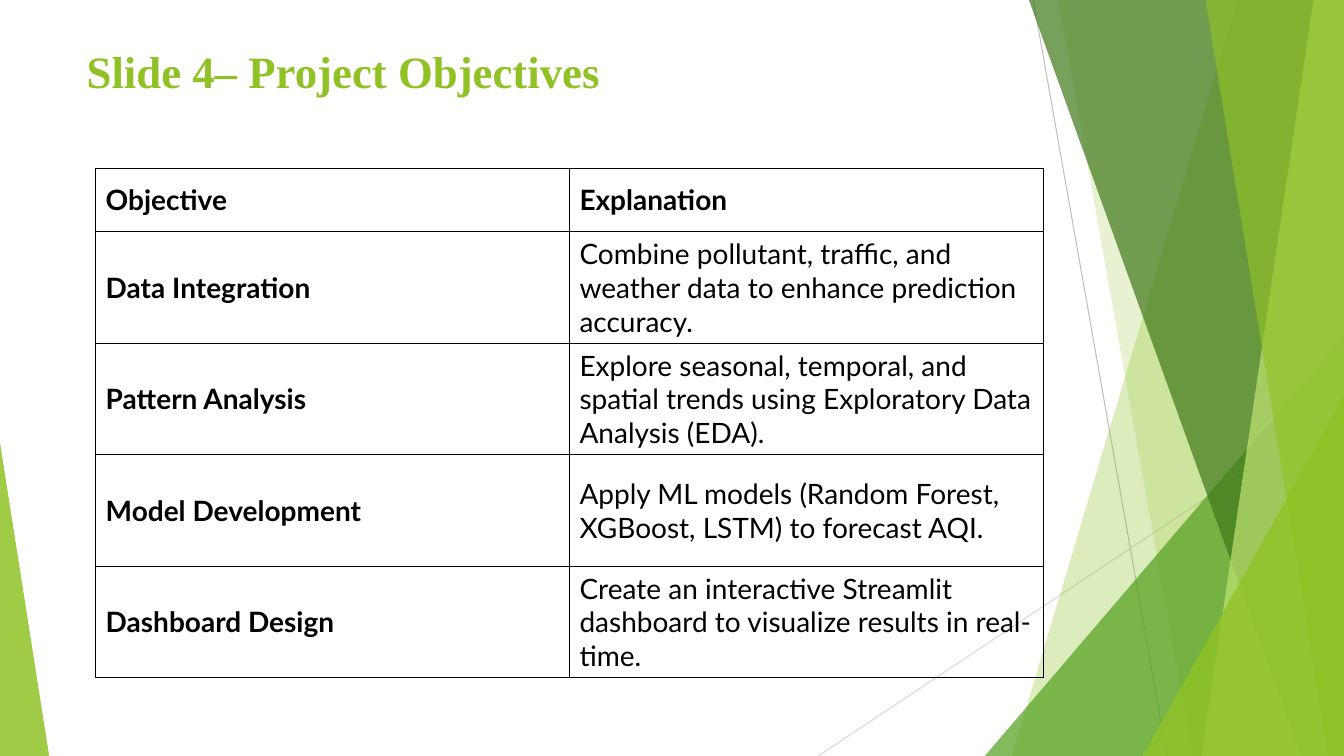
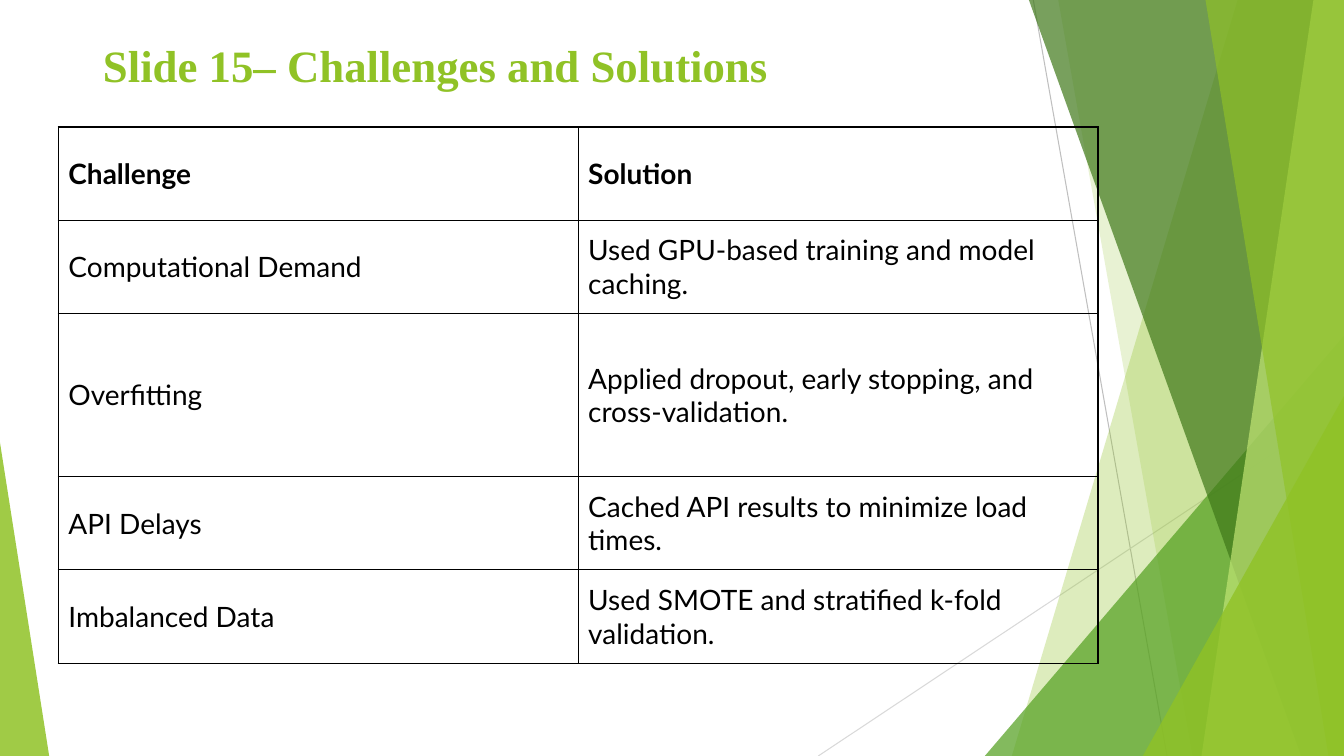
from dataclasses import dataclass

from lxml.etree import SubElement
from pptx import Presentation
from pptx.dml.color import RGBColor as Rgb
from pptx.enum.shapes import MSO_CONNECTOR as Connector, MSO_SHAPE as Preset
from pptx.enum.text import MSO_ANCHOR as Anchor, MSO_AUTO_SIZE as AutoSize, PP_ALIGN as Align
from pptx.oxml.ns import qn
from pptx.util import Cm, Pt

WIDTH, HEIGHT = 33.87, 19.05
TITLE_ONLY = 5


@dataclass(frozen=True)
class Theme:
    lime: str = "90C226"
    pale: str = "C0E474"
    green: str = "54A021"
    forest: str = "3F7819"
    ink: str = "000000"
    grey: str = "BFBFBF"
    light_grey: str = "D9D9D9"
    title_font: str = "Times New Roman"
    body_font: str = "Lato"
    title_size: int = 32
    body_size: int = 20
    hairline: float = 0.75
    border: float = 1


THEME = Theme()

# Backdrop, from back to front
RAYS = [  # x1, y1, x2, y2, colour
    (26.04, 0, 29.41, HEIGHT, THEME.grey),
    (WIDTH, 10.24, 20.62, HEIGHT, THEME.light_grey),
]
PANELS = [  # kind, geometry, colour, opacity in percent
    ("band", (31.19, 25.5), THEME.lime, 30),
    ("band", (26.67, 30.05), THEME.lime, 20),
    ("wedge", (24.82, 8.46, WIDTH, 1), THEME.green, 72),
    ("band", (25.93, 32.79), THEME.forest, 70),
    ("band", (33.1, 30.28), THEME.pale, 70),
    ("band", (30.38, 33.48), THEME.lime, 65),
    ("wedge", (28.8, 9.98, WIDTH, 1), THEME.lime, 80),
    ("wedge", (0, 11.15, 1.24, 0), THEME.lime, 85),
]

# Slide content
SLIDES = [
    {
        "title": ("Slide 4– Project Objectives", (1.93, 0.84, 22.17, 1.93)),
        "corner": (2.41, 4.24),
        "column": 11.94,
        "heights": [1.6, 2.81, 2.81, 2.81, 2.81],
        "bold_labels": True,
        "rows": [
            ("Objective", "Explanation"),
            ("Data Integration",
             "Combine pollutant, traffic, and weather data to enhance prediction accuracy."),
            ("Pattern Analysis",
             "Explore seasonal, temporal, and spatial trends using "
             "Exploratory Data Analysis (EDA)."),
            ("Model Development",
             "Apply ML models (Random Forest, XGBoost, LSTM) to forecast AQI."),
            ("Dashboard Design",
             "Create an interactive Streamlit dashboard to visualize results in real-time."),
        ],
    },
    {
        "title": ("Slide 15– Challenges and Solutions", (2.34, 0.69, 23.83, 2.21)),
        "corner": (1.47, 3.2),
        "column": 13.1,
        "heights": [2.35, 2.35, 4.11, 2.35, 2.35],
        "bold_labels": False,
        "rows": [
            ("Challenge", "Solution"),
            ("Computational Demand", "Used GPU-based training and model caching."),
            ("Overfitting", "Applied dropout, early stopping, and cross-validation."),
            ("API Delays", "Cached API results to minimize load times."),
            ("Imbalanced Data", "Used SMOTE and stratified k-fold validation."),
        ],
    },
]


def assign(target, values):
    for name, value in values.items():
        setattr(target, name, value)


class Builder:
    def __init__(self, theme):
        self.theme = theme
        self.deck = Presentation()
        assign(self.deck, {"slide_width": Cm(WIDTH), "slide_height": Cm(HEIGHT)})
        self.layout = self.deck.slide_layouts[TITLE_ONLY]
        self.page = None

    def new_page(self):
        self.page = self.deck.slides.add_slide(self.layout)

    # Shared backdrop: drawn as one group, then kept in the layout
    def backdrop(self):
        for holder in list(self.layout.placeholders)[1:]:
            holder.element.getparent().remove(holder.element)
        group = self.page.shapes.add_group_shape()
        for ray in RAYS:
            self.ray(group.shapes, *ray)
        draw = {"band": self.band, "wedge": self.wedge}
        for kind, geometry, colour, opacity in PANELS:
            self.tint(draw[kind](group.shapes, *geometry), colour, opacity)
        self.layout.shapes.element.append(group.element)

    def ray(self, shapes, x1, y1, x2, y2, colour):
        line = shapes.add_connector(Connector.STRAIGHT, Cm(x1), Cm(y1), Cm(x2), Cm(y2))
        line.line.color.rgb = Rgb.from_string(colour)
        line.line.width = Pt(self.theme.hairline)
        SubElement(line.element.spPr, qn("a:effectLst"))

    def band(self, shapes, top_x, bottom_x):
        outline = shapes.build_freeform(Cm(top_x), 0)
        corners = [(WIDTH, 0), (WIDTH, HEIGHT), (bottom_x, HEIGHT)]
        outline.add_line_segments([(Cm(x), Cm(y)) for x, y in corners], close=True)
        return outline.convert_to_shape()

    def wedge(self, shapes, left, top, right, apex):
        shape = shapes.add_shape(Preset.ISOSCELES_TRIANGLE, Cm(left), Cm(top),
                                 Cm(right - left), Cm(HEIGHT - top))
        shape.adjustments[0] = apex
        return shape

    def tint(self, shape, colour, opacity):
        shape.shadow.inherit = False
        shape.line.fill.background()
        shape.fill.solid()
        shape.fill.fore_color.rgb = Rgb.from_string(colour)
        tone = shape.element.spPr.find(qn("a:solidFill")).find(qn("a:srgbClr"))
        SubElement(tone, qn("a:alpha"), val=str(opacity * 1000))

    # Text
    def style(self, para, font, size, colour, bold):
        para.alignment = Align.LEFT
        assign(para.font, {"name": font, "size": Pt(size), "bold": bold})
        para.font.color.rgb = Rgb.from_string(colour)

    def title(self, text, place):
        box = self.page.shapes.title
        assign(box, dict(zip(("left", "top", "width", "height"), map(Cm, place))))
        frame = box.text_frame
        assign(frame, {"text": text, "word_wrap": True, "auto_size": AutoSize.NONE,
                       "vertical_anchor": Anchor.TOP, "margin_top": Cm(0.25)})
        self.style(frame.paragraphs[0], self.theme.title_font, self.theme.title_size,
                   self.theme.lime, True)

    # Table
    def table(self, corner, column, heights, rows, bold_labels):
        columns = len(rows[0])
        grid = self.page.shapes.add_table(
            len(rows), columns, *map(Cm, corner),
            Cm(column * columns), Cm(sum(heights))).table
        assign(grid, {"first_row": False, "horz_banding": False})
        for col in grid.columns:
            col.width = Cm(column)
        for r, (height, texts) in enumerate(zip(heights, rows)):
            grid.rows[r].height = Cm(height)
            for c, text in enumerate(texts):
                bold = r == 0 or (c == 0 and bold_labels)
                self.cell(grid.cell(r, c), text, bold)

    def cell(self, cell, text, bold):
        assign(cell, {"text": text, "vertical_anchor": Anchor.MIDDLE})
        self.style(cell.text_frame.paragraphs[0], self.theme.body_font,
                   self.theme.body_size, self.theme.ink, bold)
        properties = cell._tc.get_or_add_tcPr()
        for side in ("lnL", "lnR", "lnT", "lnB"):
            edge = SubElement(properties, qn(f"a:{side}"), w=str(Pt(self.theme.border)))
            SubElement(SubElement(edge, qn("a:solidFill")), qn("a:srgbClr"),
                       val=self.theme.ink)
        cell.fill.background()


def main():
    builder = Builder(THEME)
    for number, content in enumerate(SLIDES):
        builder.new_page()
        if number == 0:
            builder.backdrop()
        builder.title(*content["title"])
        builder.table(content["corner"], content["column"], content["heights"],
                      content["rows"], content["bold_labels"])
    builder.deck.save("out.pptx")


if __name__ == "__main__":
    main()
